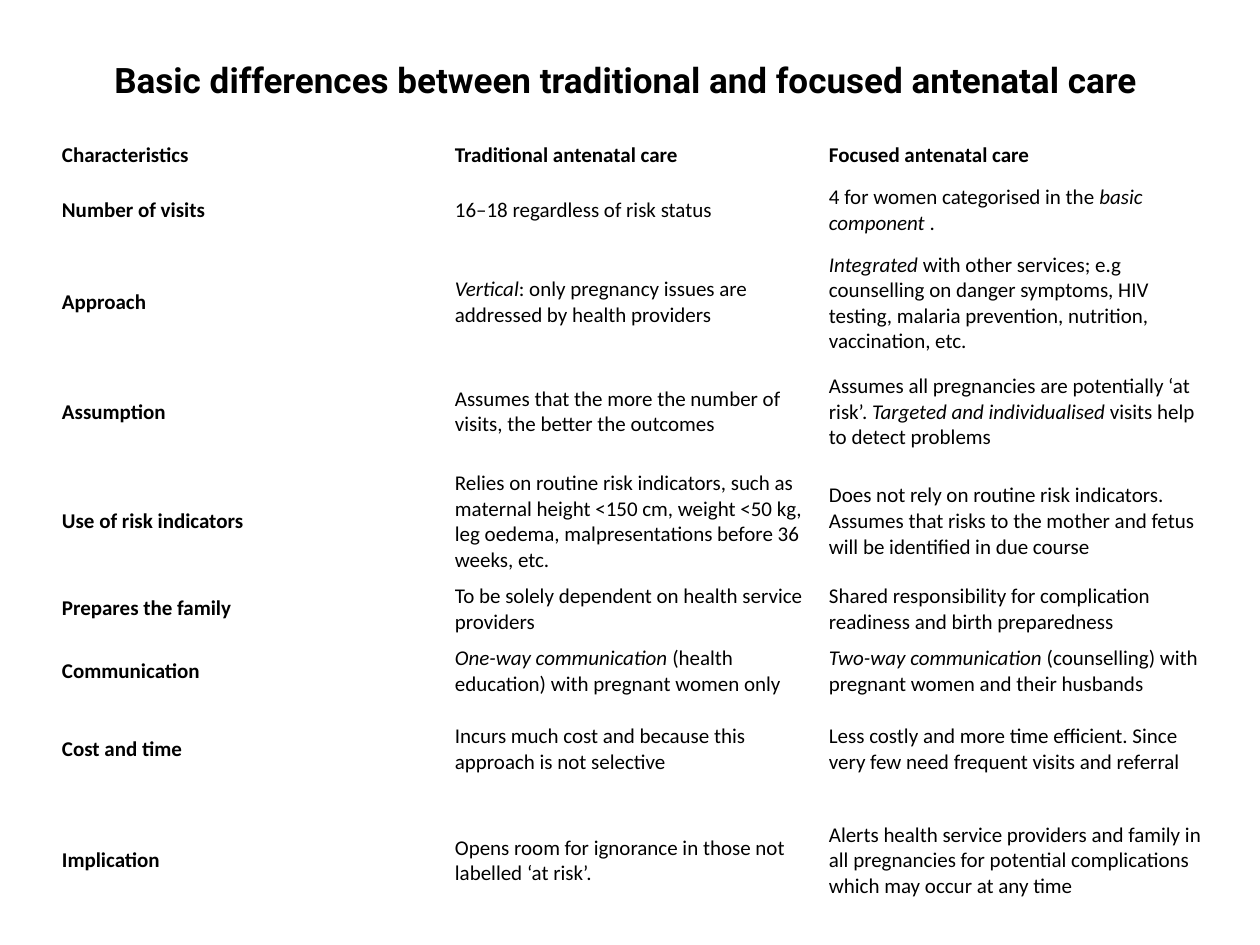
from pptx import Presentation
from pptx import util as u
from pptx.dml.color import RGBColor
from pptx.enum import text

PX = u.Inches(1) // 126
COLOURS = {"page": "FFFFFF", "ink": "000000"}
TITLE = "Basic differences between traditional and focused antenatal care"
TITLE_FONT = {"name": "Roboto", "size": u.Pt(20), "bold": True}
CELL_FONT = {"name": "Calibri", "size": u.Pt(12)}
CELL_FORMAT = {
    "vertical_anchor": text.MSO_ANCHOR.MIDDLE,
    "margin_left": 3 * PX,
    "margin_right": 3 * PX,
    "margin_top": 6 * PX,
    "margin_bottom": 6 * PX,
}
COLUMN_WIDTHS = [393, 374, 385]
ROW_HEIGHTS = [29, 72, 106, 106, 106, 60, 60, 94, 129]
# Asterisks enclose italic words.
COMPARISON = [
    ("Characteristics", "Traditional antenatal care", "Focused antenatal care"),
    ("Number of visits", "16–18 regardless of risk status",
     "4 for women categorised in the *basic component* ."),
    ("Approach",
     "*Vertical*: only pregnancy issues are addressed by health providers",
     "*Integrated *with other services; e.g counselling on danger symptoms, "
     "HIV testing, malaria prevention, nutrition, vaccination, etc."),
    ("Assumption",
     "Assumes that the more the number of visits, the better the outcomes",
     "Assumes all pregnancies are potentially ‘at risk’. "
     "*Targeted and individualised* visits help to detect problems"),
    ("Use of risk indicators",
     "Relies on routine risk indicators, such as maternal height <150 cm, "
     "weight <50 kg, leg oedema, malpresentations before 36 weeks, etc.",
     "Does not rely on routine risk indicators. Assumes that risks to the "
     "mother and fetus will be identified in due course"),
    ("Prepares the family",
     "To be solely dependent on health service providers",
     "Shared responsibility for complication readiness and birth preparedness"),
    ("Communication",
     "*One-way communication *(health education) with pregnant women only",
     "*Two-way communication* (counselling) with pregnant women and their husbands"),
    ("Cost and time",
     "Incurs much cost and because this approach is not selective",
     "Less costly and more time efficient. Since very few need frequent "
     "visits and referral"),
    ("Implication",
     "Opens room for ignorance in those not labelled ‘at risk’.",
     "Alerts health service providers and family in all pregnancies for "
     "potential complications which may occur at any time"),
]


def set_format(target, values):
    for name, value in values.items():
        setattr(target, name, value)


def add_span(para, words, font):
    span = para.add_run()
    span.text = words
    set_format(span.font, font)
    span.font.color.rgb = RGBColor.from_string(COLOURS["ink"])


def add_title(page, left, top, width, height):
    box = page.shapes.add_textbox(left * PX, top * PX, width * PX, height * PX)
    set_format(box.text_frame, {
        "word_wrap": True, "vertical_anchor": text.MSO_ANCHOR.MIDDLE})
    para = box.text_frame.paragraphs[0]
    para.alignment = text.PP_ALIGN.CENTER
    add_span(para, TITLE, TITLE_FONT)


def fill_cell(cell, words, bold):
    set_format(cell, CELL_FORMAT)
    cell.fill.background()
    para = cell.text_frame.paragraphs[0]
    for index, part in enumerate(words.split("*")):
        if part:
            add_span(para, part, {**CELL_FONT, "bold": bold, "italic": index % 2 == 1})


def add_comparison(page, left, top):
    table = page.shapes.add_table(
        len(ROW_HEIGHTS), len(COLUMN_WIDTHS), left * PX, top * PX,
        sum(COLUMN_WIDTHS) * PX, sum(ROW_HEIGHTS) * PX).table
    set_format(table, {"first_row": False, "horz_banding": False})
    for column, width in zip(table.columns, COLUMN_WIDTHS):
        column.width = width * PX
    for row, height in zip(table.rows, ROW_HEIGHTS):
        row.height = height * PX
    for row_index, entries in enumerate(COMPARISON):
        for column_index, words in enumerate(entries):
            is_heading = row_index == 0 or column_index == 0
            fill_cell(table.cell(row_index, column_index), words, is_heading)


def main():
    deck = Presentation()
    set_format(deck, {"slide_width": 1260 * PX, "slide_height": 945 * PX})
    page = deck.slides.add_slide(deck.slide_layouts[6])
    page.background.fill.solid()
    page.background.fill.fore_color.rgb = RGBColor.from_string(COLOURS["page"])
    add_title(page, 59, 0, 1134, 158)
    add_comparison(page, 59, 137)
    deck.save("out.pptx")


if __name__ == "__main__":
    main()
